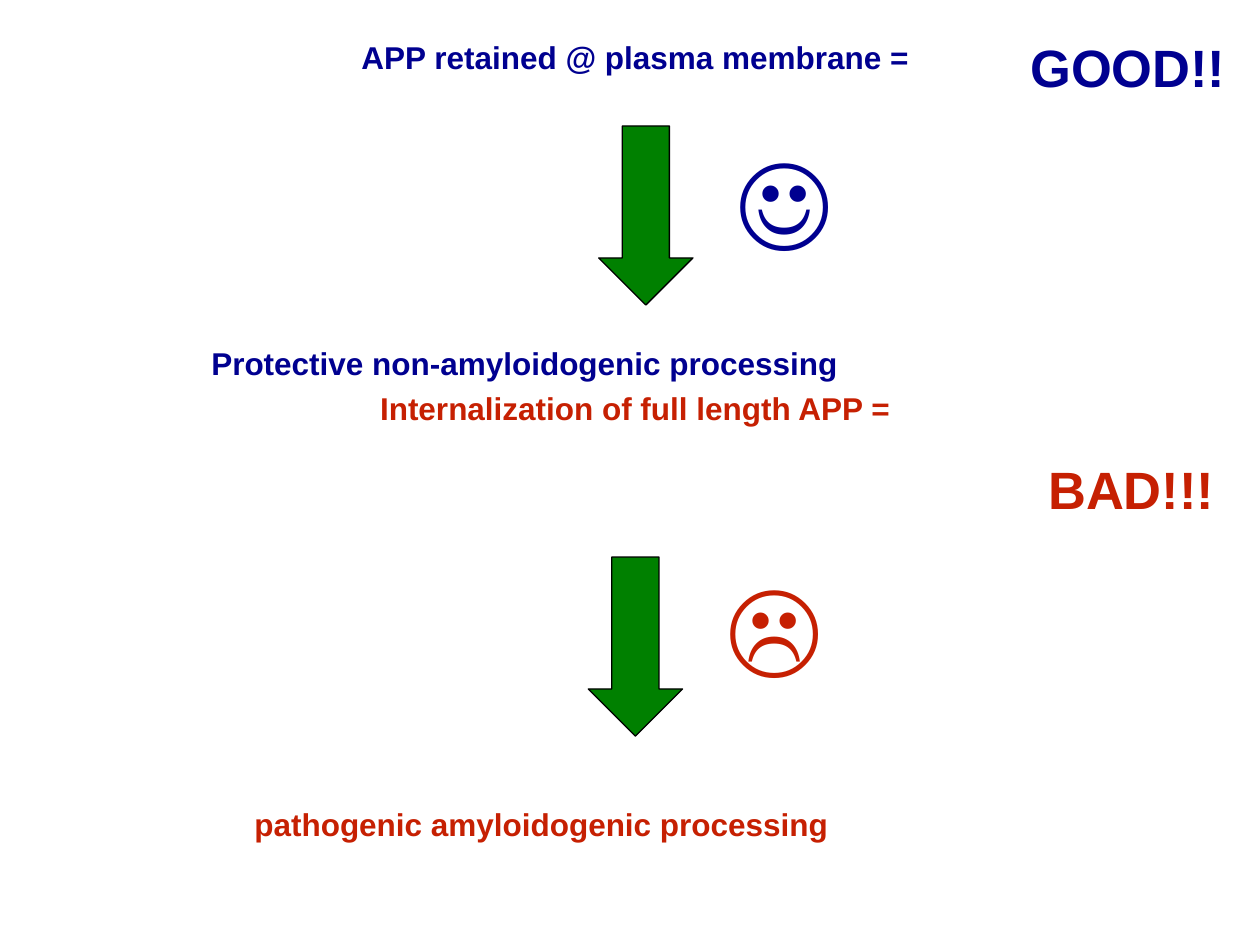
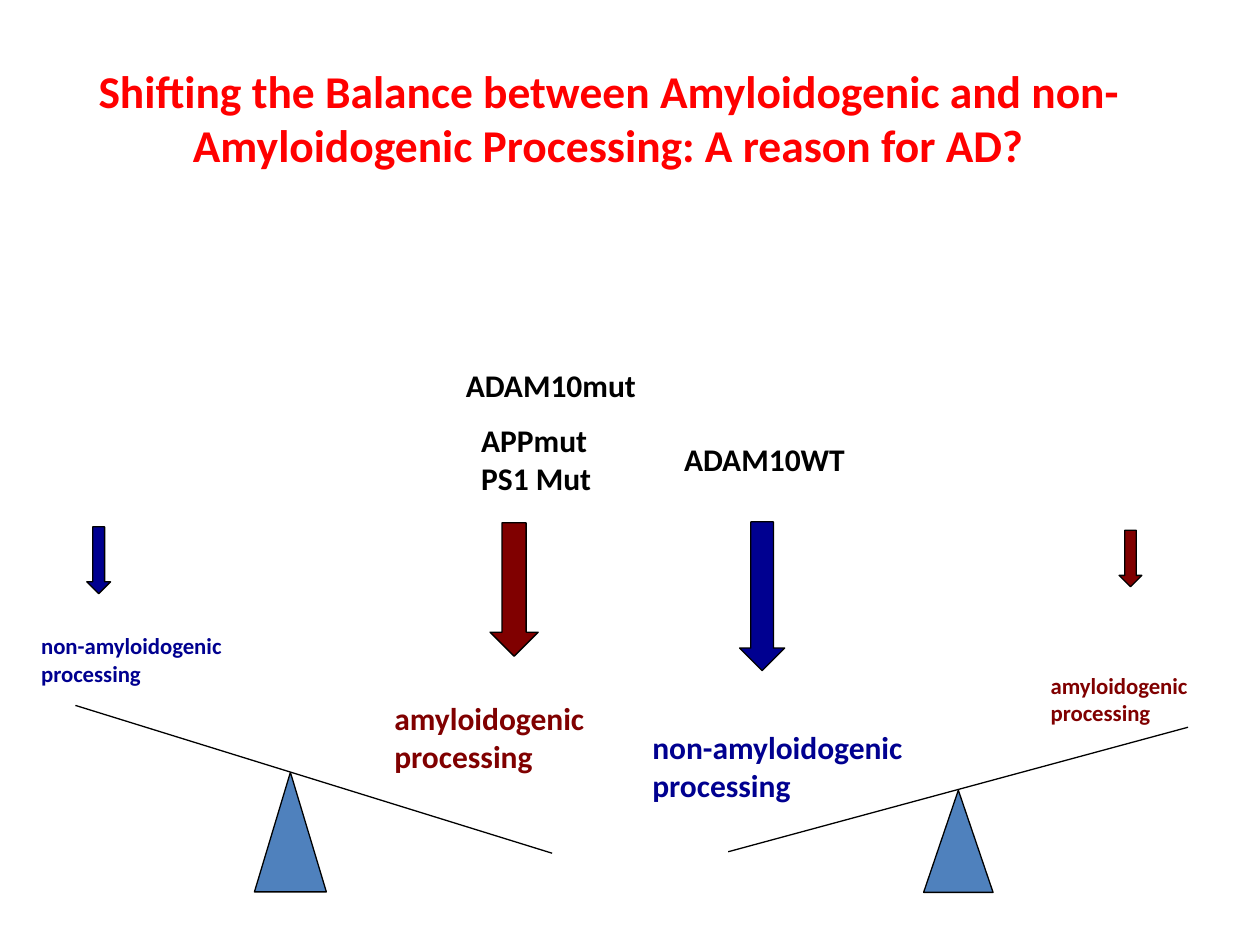
from dataclasses import dataclass

from lxml import etree
from pptx import Presentation
from pptx.dml.color import RGBColor
from pptx.enum.shapes import MSO_CONNECTOR, MSO_SHAPE
from pptx.enum.text import MSO_ANCHOR, MSO_AUTO_SIZE, PP_ALIGN
from pptx.oxml.ns import qn
from pptx.util import Cm, Pt

DOWN_ARROW = MSO_SHAPE.DOWN_ARROW
TRIANGLE = MSO_SHAPE.ISOSCELES_TRIANGLE
STRAIGHT = MSO_CONNECTOR.STRAIGHT
TOP = MSO_ANCHOR.TOP
NO_FIT = MSO_AUTO_SIZE.NONE
LEFT, CENTER = PP_ALIGN.LEFT, PP_ALIGN.CENTER
TITLE_ONLY = 5


@dataclass(frozen=True)
class Theme:
    navy: str = "000090"
    rust: str = "C62002"
    maroon: str = "800000"
    green: str = "008000"
    steel: str = "4F81BD"
    red: str = "FF0000"
    black: str = "000000"
    plain: str = "Arial"
    rounded: str = "Calibri"
    small: float = 13
    body: float = 18
    title: float = 26
    verdict: float = 30
    face: float = 60
    outline: float = 0.75


T = Theme()


@dataclass(frozen=True)
class Box:
    """Left, top, width and height in centimetres."""
    x: float
    y: float
    w: float
    h: float

    def emu(self) -> tuple:
        return Cm(self.x), Cm(self.y), Cm(self.w), Cm(self.h)


@dataclass(frozen=True)
class Label:
    box: Box
    lines: tuple
    color: str
    size: float = T.body
    font: str = T.rounded
    align: int = LEFT


@dataclass(frozen=True)
class Load:
    """One side of a scale: an arrow pressing on a pathway name."""
    arrow: Box
    label: Label


@dataclass(frozen=True)
class Scale:
    beam: tuple
    fulcrum: Box
    loads: tuple


# Shared drawing functions
def write(sp, label: Label) -> None:
    tf = sp.text_frame
    tf.word_wrap, tf.auto_size, tf.vertical_anchor = True, NO_FIT, TOP
    for i, line in enumerate(label.lines):
        p = tf.paragraphs[0] if i == 0 else tf.add_paragraph()
        p.alignment = label.align
        r = p.add_run()
        r.text = line
        r.font.name, r.font.size, r.font.bold = label.font, Pt(label.size), True
        r.font.color.rgb = RGBColor.from_string(label.color)


def add_label(s, label: Label) -> None:
    write(s.shapes.add_textbox(*label.box.emu()), label)


def set_title(s, label: Label) -> None:
    sp = s.shapes.title
    sp.left, sp.top, sp.width, sp.height = label.box.emu()
    write(sp, label)


def set_line(line) -> None:
    line.color.rgb = RGBColor.from_string(T.black)
    line.width = Pt(T.outline)


def add_solid(s, kind: int, box: Box, color: str) -> None:
    sp = s.shapes.add_shape(kind, *box.emu())
    sp.shadow.inherit = False
    sp.fill.solid()
    sp.fill.fore_color.rgb = RGBColor.from_string(color)
    set_line(sp.line)


def add_scale(s, scale: Scale) -> None:
    beam = s.shapes.add_connector(STRAIGHT, *(Cm(v) for v in scale.beam))
    set_line(beam.line)
    etree.SubElement(beam._element.spPr, qn("a:effectLst"))
    add_solid(s, TRIANGLE, scale.fulcrum, T.steel)
    for load in scale.loads:
        add_solid(s, DOWN_ARROW, load.arrow, load.label.color)
        add_label(s, load.label)


# Slide 1: fate of APP
def statement(x: float, y: float, w: float, text: str, color: str,
              align: int = LEFT) -> Label:
    return Label(Box(x, y, w, 1), (text,), color, T.body, T.plain, align)


def verdict(x: float, y: float, text: str, color: str) -> Label:
    return Label(Box(x, y, 4.7, 1.55), (text,), color, T.verdict, T.plain)


def face(x: float, y: float, text: str, color: str) -> Label:
    return Label(Box(x, y, 2.31, 2.82), (text,), color, T.face)


RETAINED = statement(3.38, 0.64, 18.85, "APP retained @ plasma membrane =",
                     T.navy, CENTER)
FATE_LABELS = (
    statement(3.38, 7.72, 18.85, "Internalization of full length APP =",
              T.rust, CENTER),
    face(14.6, 2.54, "☺", T.navy),
    verdict(20.52, 0.58, "GOOD!!", T.navy),
    face(14.4, 11.15, "☹", T.rust),
    verdict(20.88, 9.09, "BAD!!!", T.rust),
    statement(4.01, 6.81, 17.53, "Protective non-amyloidogenic processing", T.navy),
    statement(4.88, 16.1, 16.1, "pathogenic amyloidogenic processing", T.rust),
)
FATE_ARROWS = (Box(12.07, 2.54, 1.9, 3.61), Box(11.86, 11.23, 1.9, 3.61))


def build_fate(s) -> None:
    set_title(s, RETAINED)
    for arrow in FATE_ARROWS:
        add_solid(s, DOWN_ARROW, arrow, T.green)
    for label in FATE_LABELS:
        add_label(s, label)


# Slide 2: balance between the pathways
AMYLOID = ("amyloidogenic", "processing")
NON_AMYLOID = ("non-amyloidogenic", "processing")

BALANCE_TITLE = Label(
    Box(0.58, 1.14, 23.39, 2.49),
    ("Shifting the Balance between Amyloidogenic and "
     "non-Amyloidogenic Processing: A reason for AD?",),
    T.red, T.title, T.rounded, CENTER)

SCALES = (
    Scale((1.52, 14.22, 11.13, 17.2), Box(5.13, 15.57, 1.45, 2.41), (
        Load(Box(1.75, 10.62, 0.48, 1.35),
             Label(Box(0.58, 12.62, 4.88, 1.37), NON_AMYLOID, T.navy, T.small)),
        Load(Box(9.88, 10.54, 0.97, 2.69),
             Label(Box(7.7, 13.97, 5.08, 1.8), AMYLOID, T.maroon)),
    )),
    Scale((23.95, 14.66, 14.68, 17.17), Box(18.62, 15.93, 1.4, 2.06), (
        Load(Box(22.56, 10.69, 0.46, 1.14),
             Label(Box(20.93, 13.41, 3.73, 1.37), AMYLOID, T.maroon, T.small)),
        Load(Box(14.91, 10.52, 0.91, 3),
             Label(Box(12.9, 14.55, 6.25, 1.8), NON_AMYLOID, T.navy)),
    )),
)
GENE_LABELS = (
    Label(Box(9.45, 8.36, 2.9, 1.8), ("APPmut", "PS1 Mut"), T.black),
    Label(Box(9.14, 7.26, 4, 1.02), ("ADAM10mut",), T.black),
    Label(Box(13.54, 8.74, 4, 1.02), ("ADAM10WT",), T.black),
)


def build_balance(s) -> None:
    set_title(s, BALANCE_TITLE)
    for scale in SCALES:
        add_scale(s, scale)
    for label in GENE_LABELS:
        add_label(s, label)


def main() -> None:
    prs = Presentation()
    prs.slide_width, prs.slide_height = Cm(25.4), Cm(19.05)
    for build in (build_fate, build_balance):
        build(prs.slides.add_slide(prs.slide_layouts[TITLE_ONLY]))
    prs.save("out.pptx")


if __name__ == "__main__":
    main()
